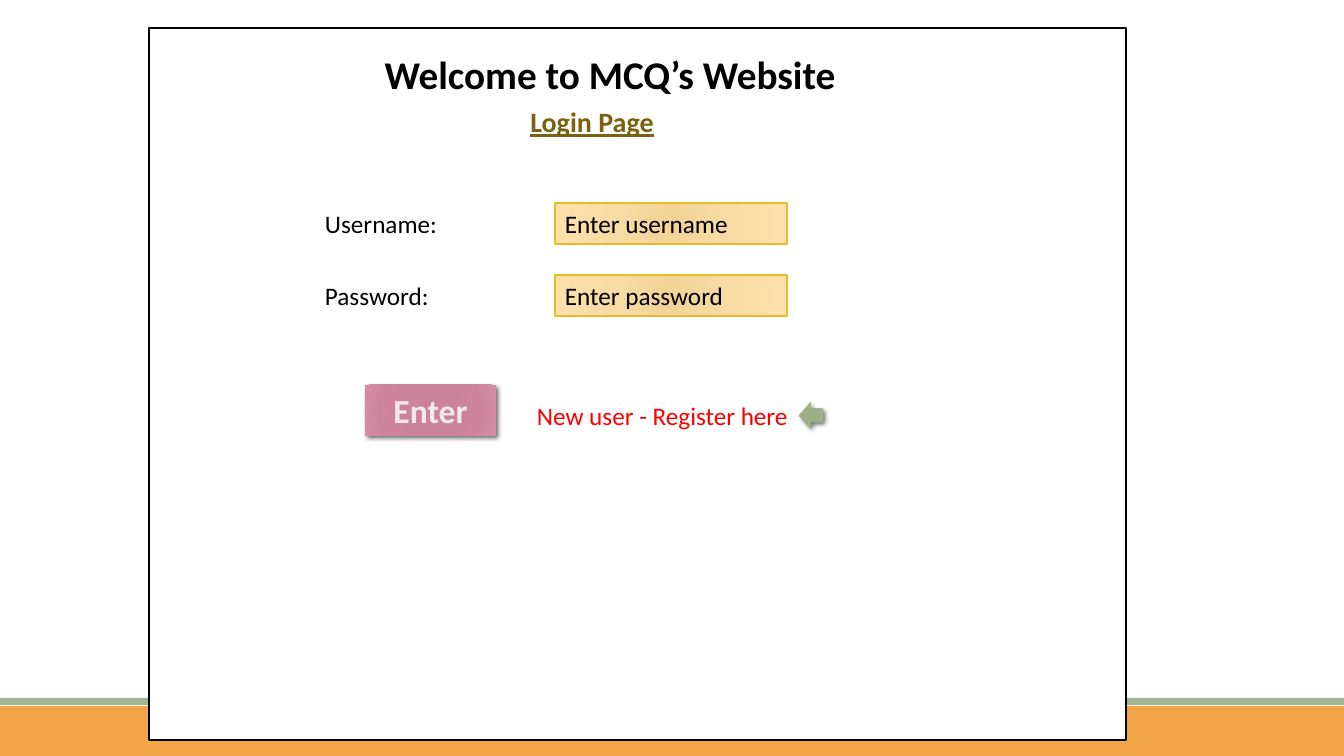
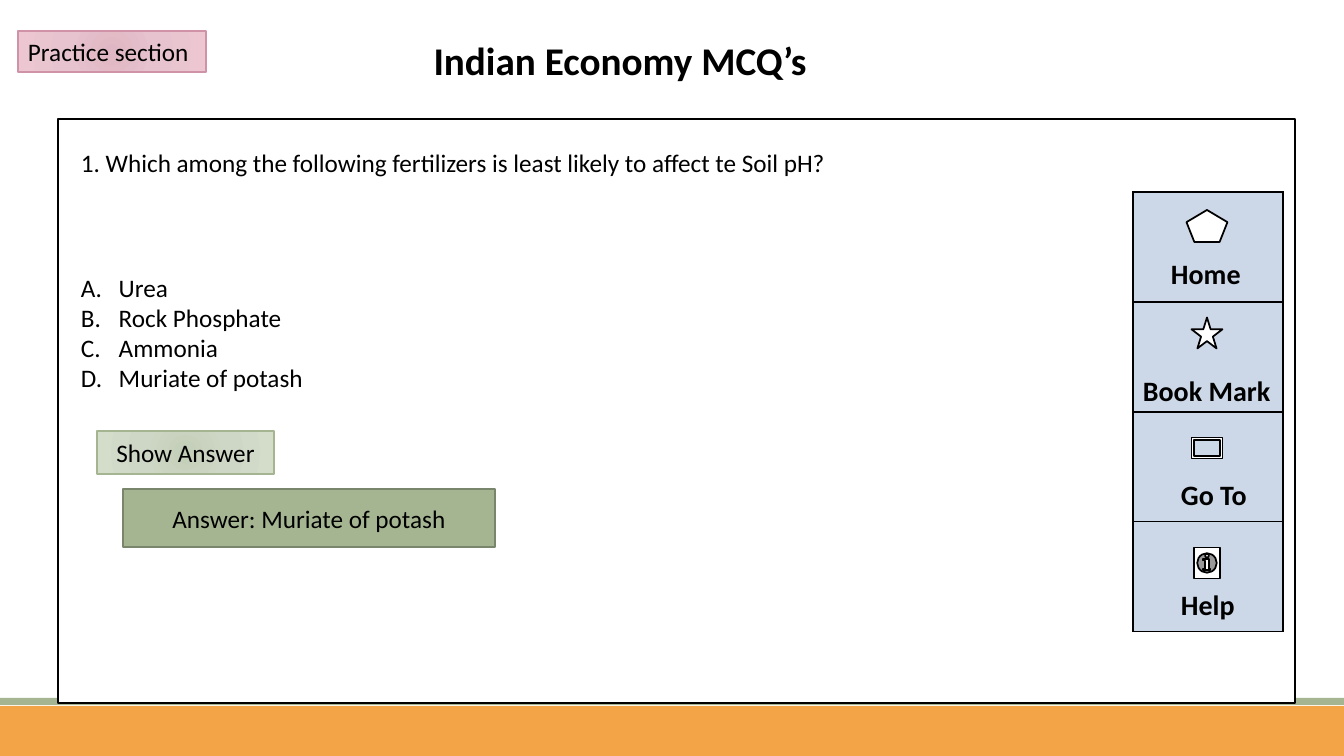
from dataclasses import dataclass
from lxml import etree
from pptx import Presentation
from pptx.dml.color import RGBColor
from pptx.enum.shapes import MSO_SHAPE
from pptx.enum.text import MSO_ANCHOR, PP_ALIGN
from pptx.oxml import parse_xml
from pptx.oxml.ns import nsdecls, qn
from pptx.util import Emu, Pt

# Content: boxes are (left, top, width, height) in pixels
SLIDE_W, SLIDE_H = 1344, 756
LOGIN = {
    "title": ("Welcome to MCQ’s Website", (334, 45, 552, 57)),
    "panel": (149, 28, 977, 712),
    "heading": ("Login Page", (429, 100, 326, 44)),
    "fields": [("Username:", "Enter username"), ("Password:", "Enter password")],
    "enter": ("Enter", (365, 385, 131, 51)),
    "register": ("New user - Register here", (527, 395, 295, 40)),
    "arrow": (799, 402, 24, 27),
}
QUIZ = {
    "title": ("Indian Economy MCQ’s", (107, 31, 1026, 57)),
    "panel": (58, 119, 1237, 584),
    "section": ("Practice section", (18, 31, 188, 41)),
    "question": ("1. Which among the following fertilizers is least likely "
                 "to affect te Soil pH?", (71, 142, 837, 40)),
    "options": (["Urea", "Rock Phosphate", "Ammonia", "Muriate of potash"],
                (71, 267, 822, 163)),
    "show": ("Show Answer", (97, 431, 177, 43)),
    "answer": ("Answer: Muriate of potash", (123, 489, 372, 58)),
}
# Label, left indent, bottom margin, icon, icon width, icon height, icon centre in row
MENU = [
    ("Home", 38, 10, MSO_SHAPE.REGULAR_PENTAGON, 41, 32, 34),
    ("Book Mark", 10, 3, MSO_SHAPE.STAR_5_POINT, 31, 31, 31),
    ("Go To", 48, 9, MSO_SHAPE.FRAME, 31, 21, 36),
    ("Help", 48, 9, MSO_SHAPE.ACTION_BUTTON_INFORMATION, 26, 31, 41),
]
MENU_LEFT, MENU_TOP, MENU_W, MENU_ROW = 1133, 192, 150, 110
FIELD_TOP, FIELD_STEP, FIELD_H = 203, 72, 41
LABEL_LEFT, LABEL_W, FIELD_LEFT, FIELD_W = 315, 216, 555, 232


@dataclass(frozen=True)
class Theme:
    font: str = "Calibri"
    body: int = 18
    label: int = 20
    button: int = 24
    title: int = 28
    thin: float = 1
    line: float = 1.25
    black: str = "000000"
    white: str = "FFFFFF"
    orange: str = "F3A447"
    green: str = "A5B592"
    dark_green: str = "7A866C"
    gold: str = "E7BC29"
    dark_gold: str = "7A620E"
    pink: str = "D092A7"
    pale_pink: str = "F6E9ED"
    red: str = "FF0000"
    menu: str = "CCD8E7"
    # Gradients: (position in percent, colour)
    gold_fade: tuple = ((0, "F2D393"), (45, "F7DBA5"), (100, "FEE1AA"))
    green_fade: tuple = ((0, "C3CEB8"), (45, "CED7C5"), (100, "D4DDCA"))
    pink_fade: tuple = ((0, "DFB6C3"), (45, "E6C3CE"), (100, "ECC7D2"))
    enter_fade: tuple = ((0, "CA7F99"), (34, "CB829B"), (70, "D0839D"), (100, "D38FA6"))
    arrow_fade: tuple = ((0, "9AAE83"), (34, "9CAE85"), (70, "9EB286"), (100, "A5B790"))


T = Theme()


def px(n):
    return Emu(round(n * 6858000 / SLIDE_H))


def rgb(code):
    return RGBColor.from_string(code)


def color_xml(code):
    return f'<a:solidFill><a:srgbClr val="{code}"/></a:solidFill>'


# Text
def write(tf, lines, size=T.body, color=T.black, align=PP_ALIGN.LEFT,
          anchor=MSO_ANCHOR.TOP, **font):
    tf.word_wrap = True
    tf.vertical_anchor = anchor
    formats = {"name": T.font, "size": Pt(size), **font}
    for i, line in enumerate([lines] if isinstance(lines, str) else lines):
        p = tf.add_paragraph() if i else tf.paragraphs[0]
        p.alignment = align
        r = p.add_run()
        r.text = line
        for name, value in formats.items():
            setattr(r.font, name, value)
        r.font.color.rgb = rgb(color)


def add_text(s, lines, box, **style):
    tb = s.shapes.add_textbox(*map(px, box))
    write(tb.text_frame, lines, **style)
    return tb


# Shapes
def fade(sp, stops):
    sp.fill.solid()
    marks = "".join(f'<a:gs pos="{pos * 1000}"><a:srgbClr val="{code}"/></a:gs>'
                    for pos, code in stops)
    grad = parse_xml(
        f'<a:gradFill {nsdecls("a")} rotWithShape="1"><a:gsLst>{marks}</a:gsLst>'
        '<a:path path="circle"><a:fillToRect l="100000" t="100000" '
        'r="100000" b="100000"/></a:path></a:gradFill>')
    spPr = sp.element.spPr
    spPr.replace(spPr.find(qn("a:solidFill")), grad)


def add_shape(s, box, fill, line=None, width=T.line, kind=MSO_SHAPE.RECTANGLE,
              text=None, **style):
    sp = s.shapes.add_shape(kind, *map(px, box))
    sp.shadow.inherit = False
    if isinstance(fill, str):
        sp.fill.solid()
        sp.fill.fore_color.rgb = rgb(fill)
    else:
        fade(sp, fill)
    if line:
        sp.line.color.rgb = rgb(line)
        sp.line.width = Pt(width)
    else:
        sp.line.fill.background()
    if text:
        write(sp.text_frame, text, anchor=MSO_ANCHOR.MIDDLE, **style)
    return sp


def cast_shadow(sp):
    effects = sp.element.spPr.find(qn("a:effectLst"))
    effects.append(parse_xml(
        f'<a:outerShdw {nsdecls("a")} blurRad="{Pt(3.5)}" dist="{Pt(2)}" dir="2700000" '
        f'algn="tl" rotWithShape="0"><a:srgbClr val="{T.black}">'
        '<a:alpha val="60000"/></a:srgbClr></a:outerShdw>'))


def number_letters(tf):
    indent = Emu(342900)
    for p in tf.paragraphs:
        pPr = p._p.get_or_add_pPr()
        pPr.set("marL", str(indent))
        pPr.set("indent", str(-indent))
        etree.SubElement(pPr, qn("a:buAutoNum")).set("type", "alphaUcPeriod")


def border(cell):
    tcPr = cell._tc.get_or_add_tcPr()
    for i, side in enumerate(("lnL", "lnR", "lnT", "lnB")):
        tcPr.insert(i, parse_xml(f'<a:{side} {nsdecls("a")} w="{Pt(T.thin)}">'
                                 f'{color_xml(T.black)}</a:{side}>'))


# Shared slide frame
def new_slide(content):
    s = prs.slides.add_slide(prs.slide_layouts[5])
    text, box = content["title"]
    title = s.shapes.title
    title.left, title.top, title.width, title.height = map(px, box)
    write(title.text_frame, text, size=T.title, align=PP_ALIGN.CENTER, bold=True)
    panel = add_shape(s, content["panel"], T.white, T.black)
    s.shapes.element.insert(2, panel.element)  # behind the title
    return s


def bands_to_master(s):
    tree = prs.slide_master.shapes.element
    bands = [((0, 706, SLIDE_W, 50), T.orange), ((0, 698, SLIDE_W, 7), T.green)]
    for i, (box, color) in enumerate(bands):
        band = add_shape(s, box, color).element
        band.nvSpPr.cNvPr.set("id", str(100 + i))
        tree.insert(2 + i, band)


prs = Presentation()
prs.slide_width, prs.slide_height = px(SLIDE_W), px(SLIDE_H)

# Login slide
s = new_slide(LOGIN)
bands_to_master(s)
add_text(s, *LOGIN["heading"], size=T.label, color=T.dark_gold,
         align=PP_ALIGN.CENTER, bold=True, underline=True)
for i, (label, hint) in enumerate(LOGIN["fields"]):
    top = FIELD_TOP + i * FIELD_STEP
    add_text(s, label, (LABEL_LEFT, top, LABEL_W, FIELD_H))
    add_shape(s, (FIELD_LEFT, top, FIELD_W, FIELD_H), T.gold_fade, T.gold, T.thin,
              text=hint)
text, box = LOGIN["enter"]
enter = add_shape(s, box, T.enter_fade, text=text, size=T.button, color=T.pale_pink,
                  align=PP_ALIGN.CENTER, bold=True)
rPr = enter.text_frame.paragraphs[0].runs[0]._r.get_or_add_rPr()
rPr.insert(0, parse_xml(f'<a:ln {nsdecls("a")} w="{Pt(T.thin)}">{color_xml(T.pink)}</a:ln>'))
add_text(s, *LOGIN["register"], color=T.red)
arrow = add_shape(s, LOGIN["arrow"], T.arrow_fade, kind=MSO_SHAPE.LEFT_ARROW)
for sp in (enter, arrow):
    cast_shadow(sp)

# Quiz slide
s = new_slide(QUIZ)
add_text(s, *QUIZ["question"])
number_letters(add_text(s, *QUIZ["options"]).text_frame)
for key, fill, line, width, align in [
    ("section", T.pink_fade, T.pink, T.thin, PP_ALIGN.LEFT),
    ("show", T.green_fade, T.green, T.thin, PP_ALIGN.CENTER),
    ("answer", T.green, T.dark_green, T.line, PP_ALIGN.CENTER),
]:
    text, box = QUIZ[key]
    add_shape(s, box, fill, line, width, text=text, align=align)

# Menu table with one icon per row
menu_box = (MENU_LEFT, MENU_TOP, MENU_W, MENU_ROW * len(MENU))
menu = s.shapes.add_table(len(MENU), 1, *map(px, menu_box)).table
menu.first_row = menu.horz_banding = False
for i, (label, indent, bottom, kind, w, h, middle) in enumerate(MENU):
    menu.rows[i].height = px(MENU_ROW)
    cell = menu.cell(i, 0)
    cell.fill.solid()
    cell.fill.fore_color.rgb = rgb(T.menu)
    border(cell)
    write(cell.text_frame, label, size=T.label, bold=True)
    cell.vertical_anchor = MSO_ANCHOR.BOTTOM
    cell.margin_left, cell.margin_right, cell.margin_bottom = px(indent), 0, px(bottom)
    left = MENU_LEFT + (MENU_W - w) / 2 - 1
    top = MENU_TOP + i * MENU_ROW + middle - h / 2
    add_shape(s, (left, top, w, h), T.white, T.black, kind=kind)

prs.save("out.pptx")
